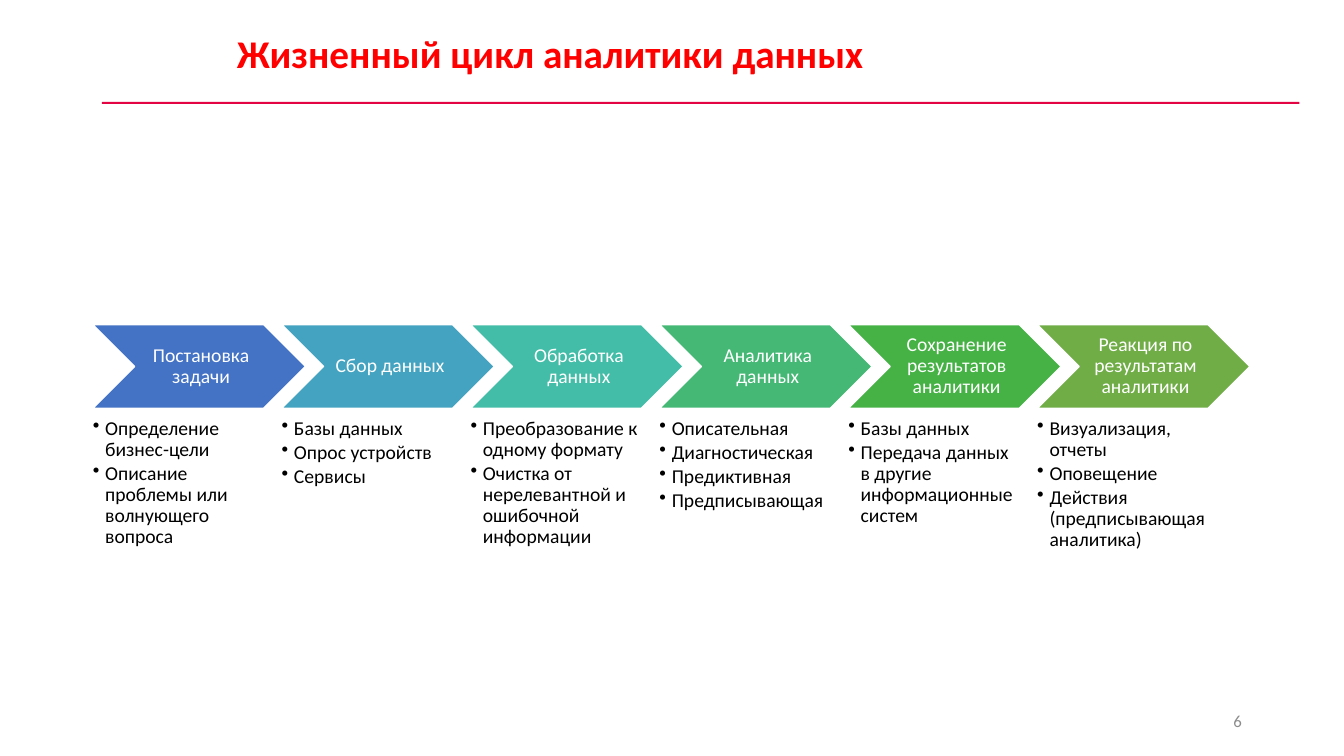
from lxml import etree
from pptx import Presentation
from pptx.dml.color import RGBColor
from pptx.enum import shapes, text
from pptx.oxml import ns
from pptx.util import Cm, Pt

RED = RGBColor(0xFF, 0x00, 0x00)
CRIMSON = RGBColor(0xE2, 0x04, 0x43)
GRAY = RGBColor(0x8C, 0x8C, 0x8C)
WHITE = RGBColor(0xFF, 0xFF, 0xFF)
BLACK = RGBColor(0x00, 0x00, 0x00)

STAGES = [
    ("Постановка задачи", RGBColor(0x44, 0x72, 0xC4),
     ["Определение бизнес-цели", "Описание проблемы или волнующего вопроса"]),
    ("Сбор данных", RGBColor(0x44, 0xA3, 0xC0),
     ["Базы данных", "Опрос устройств", "Сервисы"]),
    ("Обработка данных", RGBColor(0x43, 0xBD, 0xA7),
     ["Преобразование к одному формату",
      "Очистка от нерелевантной и ошибочной информации"]),
    ("Аналитика данных", RGBColor(0x44, 0xB8, 0x74),
     ["Описательная", "Диагностическая", "Предиктивная", "Предписывающая"]),
    ("Сохранение результатов аналитики", RGBColor(0x46, 0xB2, 0x46),
     ["Базы данных", "Передача данных в другие информационные систем"]),
    ("Реакция по результатам аналитики", RGBColor(0x70, 0xAD, 0x47),
     ["Визуализация, отчеты", "Оповещение",
      "Действия (предписывающая аналитика)"]),
]
LEFT, STEP = 2.34, 4.76


def style(para, size, color, align, bold=False):
    para.alignment = align
    for run in para.runs:
        font = run.font
        font.name, font.size, font.bold = "Calibri", Pt(size), bold
        font.color.rgb = color


def inset(frame, left, rest):
    frame.word_wrap = True
    frame.margin_left = Cm(left)
    frame.margin_top = frame.margin_right = frame.margin_bottom = Cm(rest)


deck = Presentation()
deck.slide_width, deck.slide_height = Cm(33.87), Cm(19.05)
slide = deck.slides.add_slide(deck.slide_layouts[5])

title = slide.shapes.title
title.left, title.top, title.width, title.height = Cm(5.72), Cm(0.61), Cm(27.2), Cm(1.45)
frame = title.text_frame
frame.text = "Жизненный цикл аналитики данных"
frame.auto_size = text.MSO_AUTO_SIZE.NONE
frame.vertical_anchor = text.MSO_ANCHOR.TOP
style(frame.paragraphs[0], 28, RED, text.PP_ALIGN.LEFT, bold=True)

rule = slide.shapes.add_shape(shapes.MSO_SHAPE.RECTANGLE, Cm(2.57), Cm(2.57), Cm(30.18), Cm(0.05))
rule.shadow.inherit = False
rule.fill.solid()
rule.fill.fore_color.rgb = CRIMSON
rule.line.fill.background()

for i, (name, color, items) in enumerate(STAGES):
    x = Cm(LEFT + i * STEP)
    arrow = slide.shapes.add_shape(shapes.MSO_SHAPE.CHEVRON, x, Cm(8.18), Cm(5.36), Cm(2.11))
    arrow.shadow.inherit = False
    arrow.fill.solid()
    arrow.fill.fore_color.rgb = color
    arrow.line.color.rgb = WHITE
    arrow.line.width = Pt(1)
    frame = arrow.text_frame
    inset(frame, 0.15, 0.05)
    frame.vertical_anchor = text.MSO_ANCHOR.MIDDLE
    frame.text = name
    frame.paragraphs[0].line_spacing = 0.9
    style(frame.paragraphs[0], 14, WHITE, text.PP_ALIGN.CENTER)

    notes = slide.shapes.add_textbox(x, Cm(10.54), Cm(4.29), Cm(3.53))
    frame = notes.text_frame
    inset(frame, 0, 0)
    frame.text = "\n".join(items)
    for para in frame.paragraphs:
        style(para, 14, BLACK, text.PP_ALIGN.LEFT)
        para.line_spacing = 0.9
        para.space_after = Pt(2)
        props = para._p.get_or_add_pPr()
        props.set("marL", str(Cm(0.31)))
        props.set("indent", str(Cm(-0.31)))
        etree.SubElement(props, ns.qn("a:buChar"), char="•")

number = slide.shapes.add_textbox(Cm(23.93), Cm(17.65), Cm(7.62), Cm(1.02))
frame = number.text_frame
frame.word_wrap = True
frame.vertical_anchor = text.MSO_ANCHOR.MIDDLE
frame.text = "6"
style(frame.paragraphs[0], 12, GRAY, text.PP_ALIGN.RIGHT)

deck.save("out.pptx")
